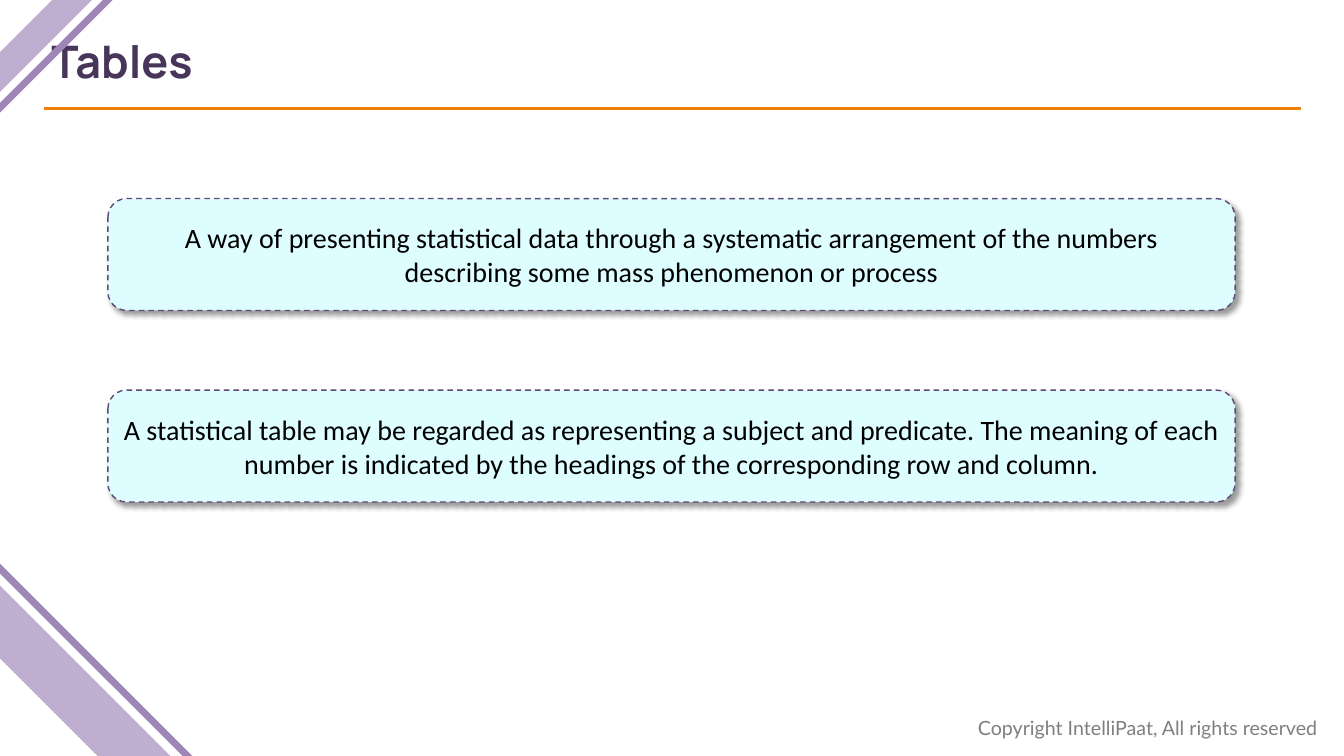
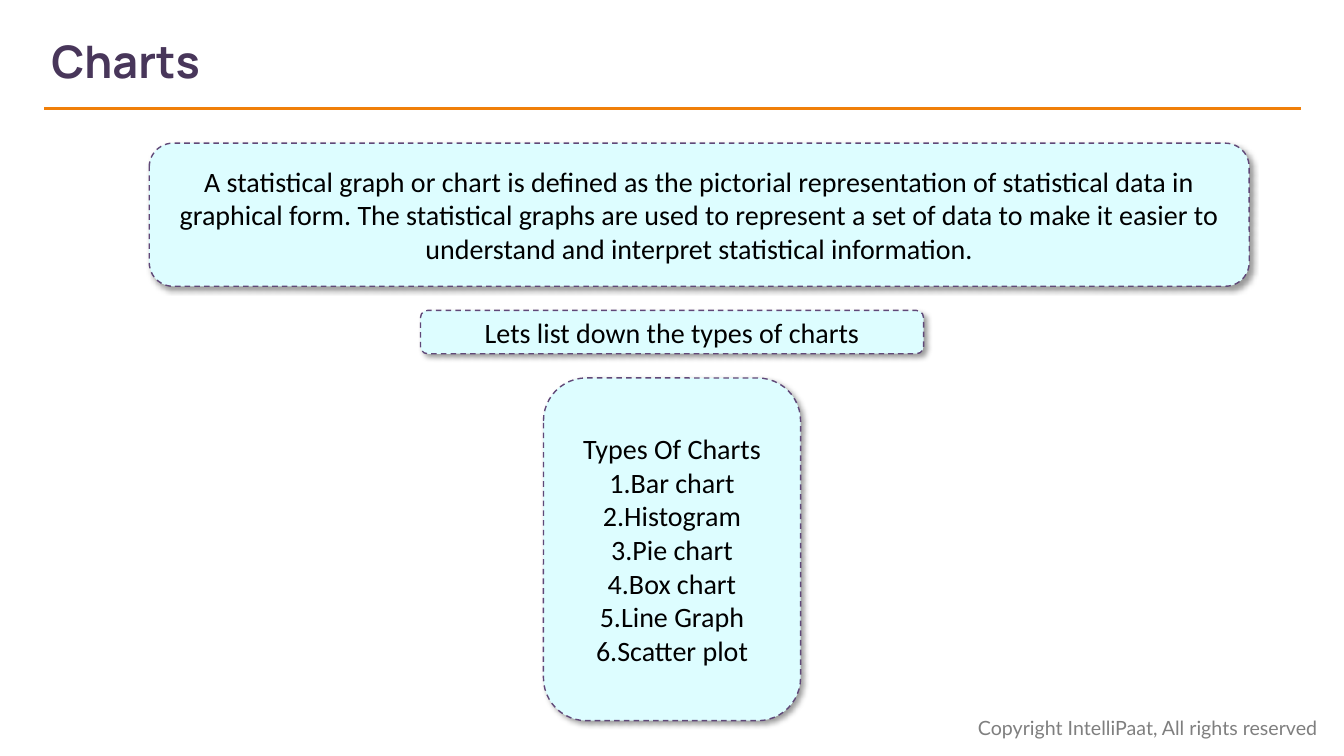
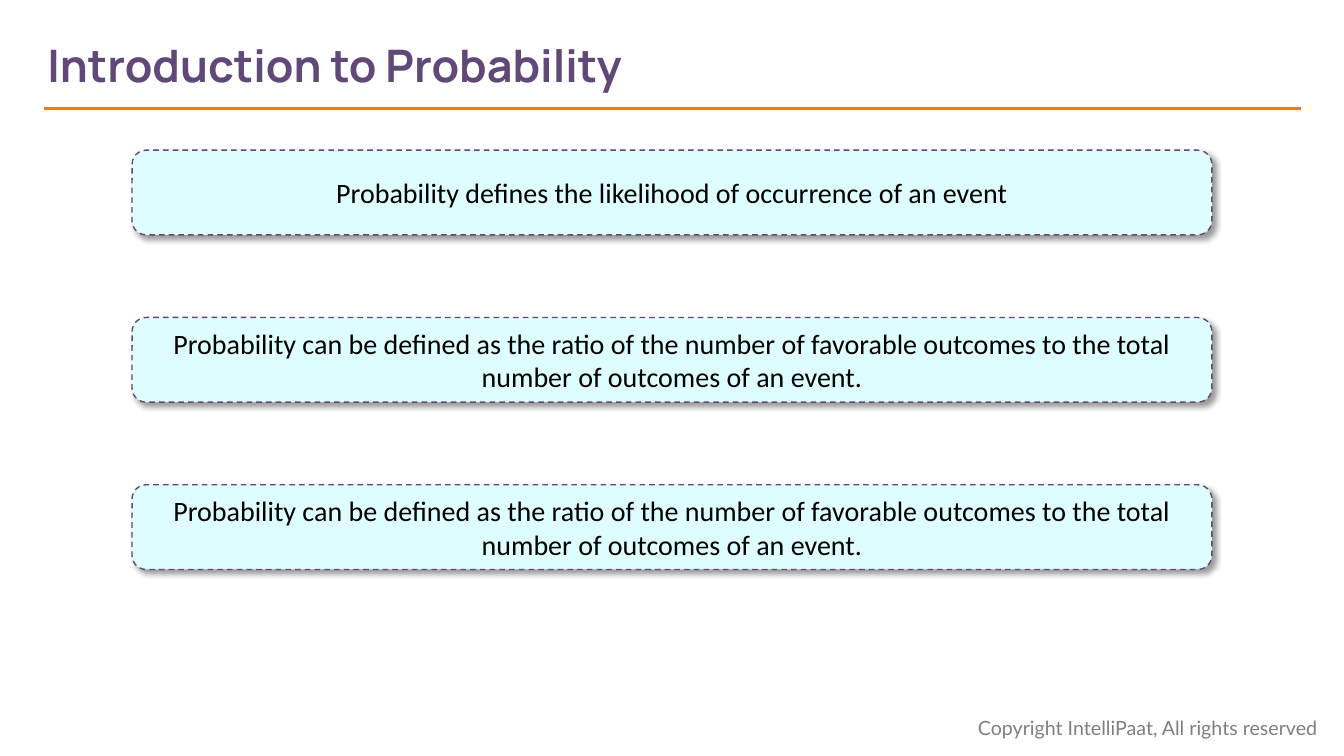
"""Builds three statistics slides: tables, charts and an introduction to probability."""
from lxml import etree
from pptx import Presentation
from pptx import util as u
from pptx.dml.color import RGBColor
from pptx.enum import dml, shapes, text
from pptx.oxml.ns import qn

PX = 9144
WIDTH, HEIGHT = 1333, 750

WHITE = RGBColor(0xFF, 0xFF, 0xFF)
BLACK = RGBColor(0x00, 0x00, 0x00)
GREY = RGBColor(0x7F, 0x7F, 0x7F)
ORANGE = RGBColor(0xF0, 0x7F, 0x09)
ICE = RGBColor(0xDD, 0xFD, 0xFF)
PURPLE = RGBColor(0x60, 0x48, 0x78)
DARK_PURPLE = RGBColor(0x48, 0x36, 0x5A)
MID_PURPLE = RGBColor(0x9E, 0x87, 0xB7)
LILAC = RGBColor(0xBF, 0xAE, 0xCF)

FOOTER = "Copyright IntelliPaat, All rights reserved"
RATIO = ("Probability can be defined as the ratio of the number of favorable outcomes "
         "to the total number of outcomes of an event.")
CHART_TYPES = ["Bar chart", "Histogram", "Pie chart", "Box chart", "Line Graph", "Scatter plot"]

STRIPE_LENGTH = 691
STRIPES = [
    (31, -319, 28, 45, LILAC),
    (82, -324, 7, 45, MID_PURPLE),
    (99, 396, 51, 315, LILAC),
    (125, 347, 7, 315, MID_PURPLE),
]


def stack(left, top, width, height, step, messages):
    """Equal cards placed one below the other at a fixed step."""
    return [((left, top + i * step, width, height), [message])
            for i, message in enumerate(messages)]


SLIDES = [
    dict(title="Tables", corner=(51, 18), color=DARK_PURPLE, stripes=STRIPES,
         cards=stack(107, 197, 1118, 111, 190, [
             "A way of presenting statistical data through a systematic arrangement of the "
             "numbers describing some mass phenomenon or process",
             "A statistical table may be regarded as representing a subject and predicate. "
             "The meaning of each number is indicated by the headings of the corresponding "
             "row and column."])),
    dict(title="Charts", corner=(51, 18), color=DARK_PURPLE, stripes=[],
         cards=[
             ((148, 142, 1091, 142), [
                 "A statistical graph or chart is defined as the pictorial representation of "
                 "statistical data in graphical form. The statistical graphs are used to "
                 "represent a set of data to make it easier to understand and interpret "
                 "statistical information."]),
             ((417, 308, 499, 43), ["Lets list down the types of charts"]),
             ((539, 375, 255, 340), ["Types Of Charts"] + [
                 f"{number}.{kind}" for number, kind in enumerate(CHART_TYPES, 1)])]),
    dict(title="Introduction to Probability", corner=(47, 22), color=PURPLE, stripes=[],
         cards=stack(131, 149, 1071, 84, 166, [
             "Probability defines the likelihood of occurrence of an event", RATIO, RATIO])),
]


def emu(*lengths):
    return [length * PX for length in lengths]


def write(frame, lines, font_name, size, color, bold=False,
          align=text.PP_ALIGN.LEFT, anchor=text.MSO_ANCHOR.MIDDLE):
    frame.word_wrap = True
    frame.vertical_anchor = anchor
    frame.text = "\n".join(lines)
    for paragraph in frame.paragraphs:
        paragraph.alignment = align
        font = paragraph.font
        font.name, font.size, font.bold = font_name, u.Pt(size), bold
        font.color.rgb = color


def add_frame(slide):
    footer = slide.shapes.add_textbox(*emu(960, 705, 368, 34)).text_frame
    write(footer, [FOOTER], "Lato", 14, GREY, anchor=text.MSO_ANCHOR.TOP)
    rule = slide.shapes.add_connector(shapes.MSO_CONNECTOR.STRAIGHT, *emu(1290, 108, 44, 108))
    rule.line.color.rgb = ORANGE
    rule.line.width = u.Pt(2.25)
    etree.SubElement(rule.element.spPr, qn("a:effectLst"))


def add_title(slide, title, corner, color):
    frame = slide.shapes.add_textbox(*emu(*corner, 947, 84)).text_frame
    frame.margin_left = 0
    write(frame, [title], "Manrope", 32, color, bold=True)


def add_filled(slide, kind, box, color):
    shape = slide.shapes.add_shape(kind, *emu(*box))
    shape.shadow.inherit = False
    shape.fill.solid()
    shape.fill.fore_color.rgb = color
    return shape


def add_stripe(slide, left, top, width, angle, color):
    stripe = add_filled(slide, shapes.MSO_SHAPE.RECTANGLE,
                        (left, top, width, STRIPE_LENGTH), color)
    stripe.rotation = angle
    stripe.line.fill.background()


def add_card(slide, box, lines):
    card = add_filled(slide, shapes.MSO_SHAPE.ROUNDED_RECTANGLE, box, ICE)
    card.line.color.rgb = PURPLE
    card.line.width = u.Pt(1)
    card.line.dash_style = dml.MSO_LINE.DASH
    effects = card.element.spPr.find(qn("a:effectLst"))
    shadow = etree.SubElement(effects, qn("a:outerShdw"), blurRad=str(u.Pt(4)),
                              dist=str(u.Pt(3)), dir="2700000", algn="tl", rotWithShape="0")
    tint = etree.SubElement(shadow, qn("a:srgbClr"), val=str(BLACK))
    etree.SubElement(tint, qn("a:alpha"), val="40000")
    write(card.text_frame, lines, "Calibri", 20, BLACK, align=text.PP_ALIGN.CENTER)


def main():
    deck = Presentation()
    deck.slide_width, deck.slide_height = emu(WIDTH, HEIGHT)
    for content in SLIDES:
        slide = deck.slides.add_slide(deck.slide_layouts[6])
        slide.background.fill.solid()
        slide.background.fill.fore_color.rgb = WHITE
        add_frame(slide)
        add_title(slide, content["title"], content["corner"], content["color"])
        for stripe in content["stripes"]:
            add_stripe(slide, *stripe)
        for box, lines in content["cards"]:
            add_card(slide, box, lines)
    deck.save("out.pptx")


if __name__ == "__main__":
    main()
